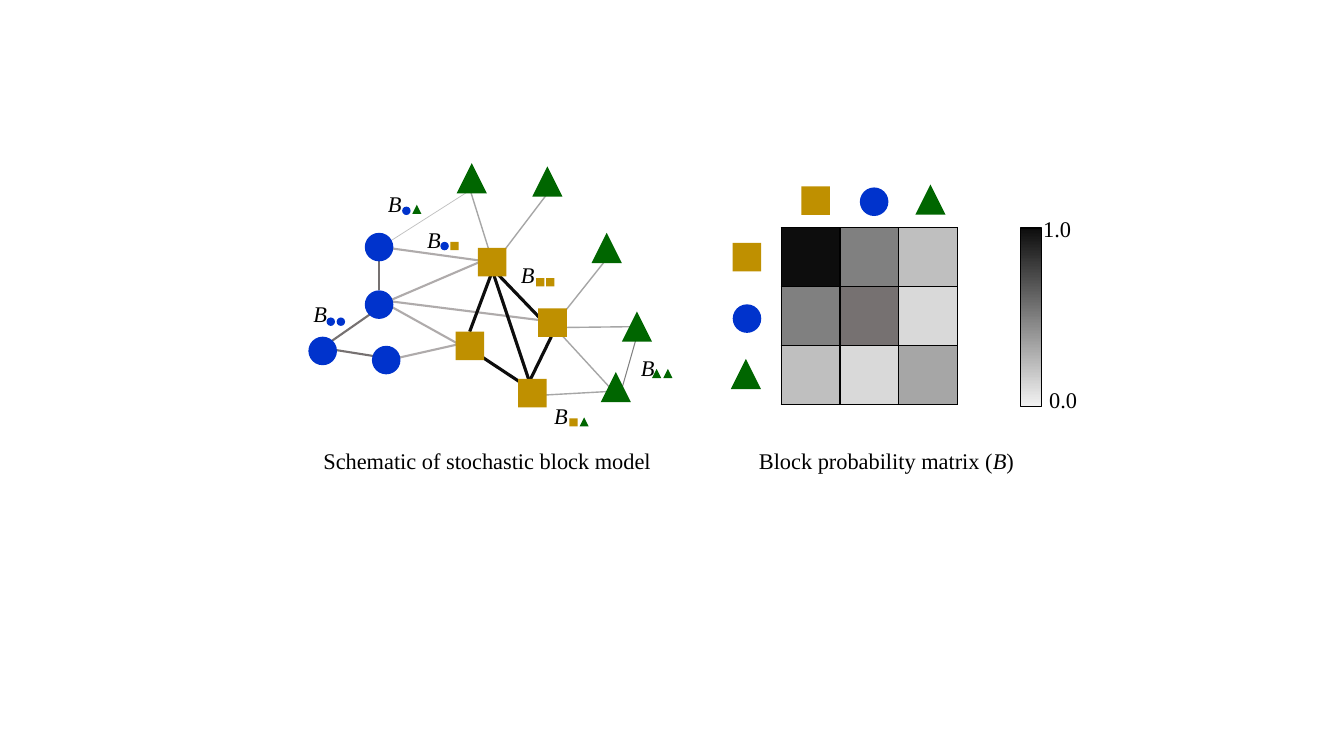
from typing import NamedTuple

from lxml import etree
from pptx import Presentation
from pptx import util as u
from pptx.dml.color import RGBColor
from pptx.enum import shapes, text
from pptx.oxml import ns

Point = tuple[float, float]
FONT = "Times New Roman"
BLACK = "000000"


class Kind(NamedTuple):
    shape: shapes.MSO_SHAPE
    color: str
    size: float
    small: float


class Edges(NamedTuple):
    color: str
    width: float
    ends: list[tuple[float, float, float, float]]


class Nodes(NamedTuple):
    kind: Kind
    spots: list[Point]


class Label(NamedTuple):
    spot: Point
    marks: list[tuple[Kind, float, float]]


CIRCLE = Kind(shapes.MSO_SHAPE.OVAL, "0033CC", 20.4, 6)
SQUARE = Kind(shapes.MSO_SHAPE.RECTANGLE, "BF9000", 20.4, 5.9)
TRIANGLE = Kind(shapes.MSO_SHAPE.ISOSCELES_TRIANGLE, "006600", 21.6, 6.5)

SPARSE_EDGES = [
    Edges("AFABAB", 1.5, [
        (277.2, 177.1, 345.6, 186.5), (278.6, 214.6, 344.2, 186.5),
        (279.4, 215.3, 388.1, 229), (276.5, 217.4, 328.3, 246.2),
        (284.4, 255.6, 326.2, 246.2)]),
    Edges("BFBFBF", 0.5, [(335.5, 136.1, 280.1, 171.4)]),
    Edges("808080", 0.75, [(455, 239.8, 443.5, 280.1)]),
    Edges("A6A6A6", 1, [
        (439.2, 279.4, 388.8, 282.2), (456.5, 233.3, 396, 234),
        (439.9, 281.5, 399.6, 237.6), (437.8, 179.3, 401.8, 224.6),
        (349.9, 180.7, 335.5, 134.6), (393.8, 134.6, 357.1, 182.9)]),
    Edges("767171", 1.5, [
        (234, 249.1, 275, 255.6), (236.2, 244.1, 264.2, 224.6),
        (270.7, 207.4, 270.7, 184.3)]),
]
SQUARE_EDGES = Edges("0D0D0D", 2.25, [
    (378.7, 271.4, 393.8, 240.5), (375.8, 275.8, 339.8, 252),
    (335.5, 236.9, 350.6, 196.6), (380.9, 280.8, 352.8, 196.6),
    (387.4, 229, 351.4, 191.5)])

CIRCLES = Nodes(CIRCLE, [(260.6, 207.4), (220.3, 240.5), (265.7, 247), (260.6, 166.3)])
SQUARES = Nodes(SQUARE, [(370.1, 270.7), (325.4, 236.9), (384.5, 220.3), (341.3, 177.1)])
TRIANGLES = Nodes(TRIANGLE, [(444.2, 222.5), (429.1, 265.7), (380.2, 118.8),
                             (326.2, 116.6), (422.6, 166.3)])
MATRIX_KEYS = [
    Nodes(SQUARE, [(572.4, 133.2), (523.4, 173.5)]),
    Nodes(CIRCLE, [(614.2, 133.9), (523.4, 217.4)]),
    Nodes(TRIANGLE, [(653.8, 131.8), (522, 256.3)]),
]
LABELS = [
    Label((365, 182.9), [(SQUARE, 383, 198.7), (SQUARE, 390.2, 198.7)]),
    Label((298.1, 157.7), [(CIRCLE, 314.6, 172.8), (SQUARE, 321.8, 172.8)]),
    Label((270, 132.5), [(CIRCLE, 287.3, 147.6), (TRIANGLE, 294.5, 146.2)]),
    Label((216.7, 211), [(CIRCLE, 233.3, 226.8), (CIRCLE, 240.5, 226.8)]),
    Label((450.7, 249.1), [(TRIANGLE, 465.8, 263.5), (TRIANGLE, 473.8, 263.5)]),
    Label((388.8, 283.7), [(SQUARE, 406.8, 298.8), (TRIANGLE, 414, 298.1)]),
]
MATRIX = [
    ["0D0D0D", "808080", "BFBFBF"],
    ["808080", "767171", "D9D9D9"],
    ["BFBFBF", "D9D9D9", "A6A6A6"],
]
CELL = 42


def rgb(color: str) -> RGBColor:
    return RGBColor.from_string(color)


def add_edges(s, edges: Edges) -> None:
    for ends in edges.ends:
        sp = s.shapes.add_connector(shapes.MSO_CONNECTOR.STRAIGHT, *map(u.Pt, ends))
        sp.line.color.rgb = rgb(edges.color)
        sp.line.width = u.Pt(edges.width)
        etree.SubElement(sp._element.spPr, ns.qn("a:effectLst"))


def add_mark(s, kind: Kind, x: float, y: float, size: float) -> None:
    sp = s.shapes.add_shape(kind.shape, *map(u.Pt, (x, y, size, size)))
    sp.shadow.inherit = False
    sp.fill.solid()
    sp.fill.fore_color.rgb = rgb(kind.color)
    sp.line.fill.background()


def add_nodes(s, nodes: Nodes) -> None:
    for x, y in nodes.spots:
        add_mark(s, nodes.kind, x, y, nodes.kind.size)


def add_run(p, words: str, *, size: float = 16, color: str = BLACK,
            italic: bool = False) -> None:
    r = p.add_run()
    r.text = words
    r.font.name = FONT
    r.font.size = u.Pt(size)
    r.font.color.rgb = rgb(color)
    r.font.italic = italic


def add_text(s, words: str, x: float, y: float, width: float, *,
             italic: bool = False):
    sp = s.shapes.add_textbox(*map(u.Pt, (x, y, width, 26.6)))
    tf = sp.text_frame
    tf.word_wrap = True
    tf.auto_size = text.MSO_AUTO_SIZE.SHAPE_TO_FIT_TEXT
    add_run(tf.paragraphs[0], words, italic=italic)
    return tf.paragraphs[0]


def add_borders(cell) -> None:
    props = cell._tc.get_or_add_tcPr()
    for side in ("lnL", "lnR", "lnT", "lnB"):
        ln = etree.SubElement(props, ns.qn(f"a:{side}"), w=str(u.Pt(1)))
        fill = etree.SubElement(ln, ns.qn("a:solidFill"))
        etree.SubElement(fill, ns.qn("a:srgbClr"), val=BLACK)


def add_matrix(s, x: float, y: float) -> None:
    n = len(MATRIX)
    table = s.shapes.add_table(n, n, *map(u.Pt, (x, y, n * CELL, n * CELL))).table
    for i, colors in enumerate(MATRIX):
        table.rows[i].height = u.Pt(CELL)
        table.columns[i].width = u.Pt(CELL)
        for j, color in enumerate(colors):
            cell = table.cell(i, j)
            add_borders(cell)
            cell.fill.solid()
            cell.fill.fore_color.rgb = rgb(color)


def add_scale(s) -> None:
    sp = s.shapes.add_shape(shapes.MSO_SHAPE.RECTANGLE,
                            *map(u.Pt, (729, 162.9, 14.8, 127.4)))
    sp.shadow.inherit = False
    sp.fill.gradient()
    sp.fill.gradient_angle = 270
    for stop, color in zip(sp.fill.gradient_stops, ("0D0D0D", "F2F2F2")):
        stop.color.rgb = rgb(color)
    sp.line.color.rgb = rgb(BLACK)
    sp.line.width = u.Pt(1)
    add_text(s, "1.0", 738, 149.8, 36.7)
    add_text(s, "0.0", 742.3, 272.2, 36.7)


prs = Presentation()
prs.slide_width, prs.slide_height = u.Pt(960), u.Pt(540)
s = prs.slides.add_slide(prs.slide_layouts[6])

for edges in SPARSE_EDGES:
    add_edges(s, edges)
add_nodes(s, CIRCLES)
add_edges(s, SQUARE_EDGES)
add_nodes(s, SQUARES)
add_nodes(s, TRIANGLES)
add_matrix(s, 558, 162.7)
for keys in MATRIX_KEYS:
    add_nodes(s, keys)
for label in LABELS:
    add_text(s, "B", *label.spot, 29.5, italic=True)
    for kind, x, y in label.marks:
        add_mark(s, kind, x, y, kind.small)
add_scale(s)

add_text(s, "Schematic of stochastic block model", 223.9, 316.1, 252)
p = add_text(s, "Block probability matrix (", 535, 316.1, 203.8)
add_run(p, "B", italic=True)
add_run(p, ")")

prs.save("out.pptx")
